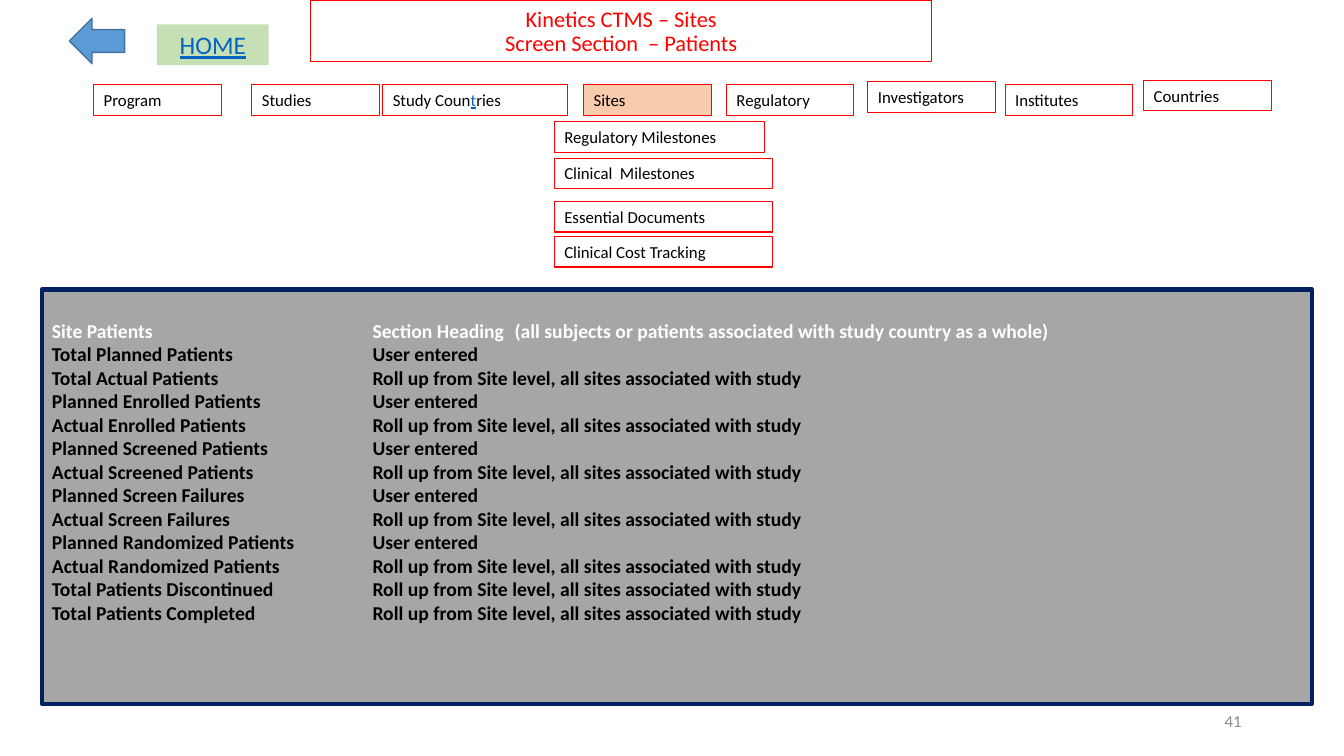
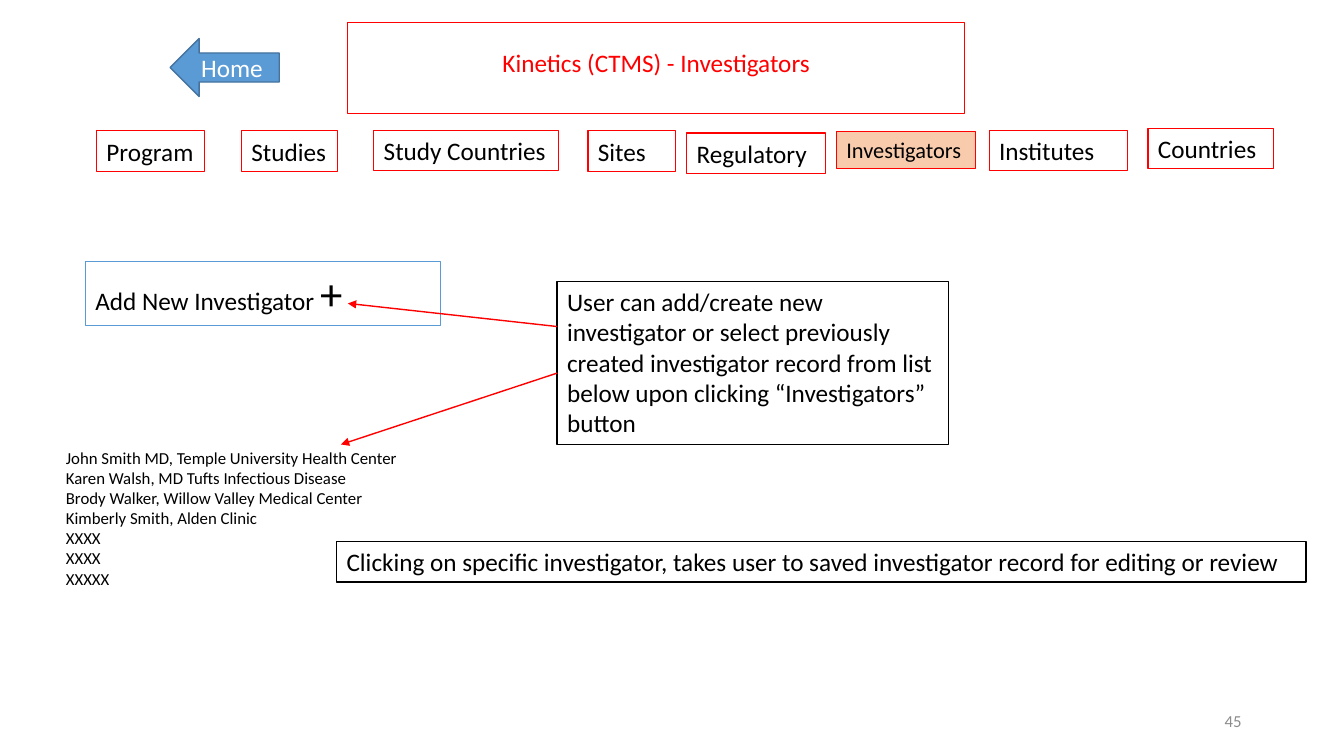
from dataclasses import dataclass
from typing import Optional

from pptx import Presentation
from pptx.dml.color import RGBColor
from pptx.enum.shapes import MSO_CONNECTOR, MSO_SHAPE
from pptx.enum.text import MSO_ANCHOR, MSO_AUTO_SIZE, PP_ALIGN
from pptx.oxml.ns import qn
from pptx.util import Pt
from lxml.etree import SubElement

FONT = "Calibri"
RED, BLACK, WHITE = "FF0000", "000000", "FFFFFF"
PEACH, GREEN, GREY, NAVY = "F8CBAD", "C5E0B4", "A6A6A6", "002060"
BLUE, DARK_BLUE, LINK_BLUE, NUMBER_GREY = "5B9BD5", "43739E", "0563C1", "8C8C8C"


@dataclass
class Frame:
    left: float
    top: float
    width: float
    height: float

    def lengths(self) -> tuple:
        return Pt(self.left), Pt(self.top), Pt(self.width), Pt(self.height)


@dataclass
class Style:
    size: float = 18
    color: str = BLACK
    bold: bool = False
    fill: Optional[str] = None
    line: Optional[str] = RED
    weight: float = 0.75
    align: PP_ALIGN = PP_ALIGN.LEFT
    anchor: MSO_ANCHOR = MSO_ANCHOR.TOP
    wrap: bool = True


@dataclass
class Button:
    label: str
    frame: Frame
    size: float = 12
    active: bool = False


def rgb(value: str) -> RGBColor:
    return RGBColor.from_string(value)


def format_span(span, style: Style) -> None:
    span.font.name = FONT
    span.font.size = Pt(style.size)
    span.font.bold = style.bold
    span.font.color.rgb = rgb(style.color)


def format_text(text_frame, style: Style) -> None:
    text_frame.word_wrap = style.wrap
    text_frame.auto_size = MSO_AUTO_SIZE.NONE
    text_frame.vertical_anchor = style.anchor
    for para in text_frame.paragraphs:
        para.alignment = style.align
        for span in para.runs:
            format_span(span, style)


def format_outline(box, style: Style) -> None:
    if style.fill:
        box.fill.solid()
        box.fill.fore_color.rgb = rgb(style.fill)
    else:
        box.fill.background()
    if style.line:
        box.line.color.rgb = rgb(style.line)
        box.line.width = Pt(style.weight)
    else:
        box.line.fill.background()


def add_box(page, frame: Frame, text: str, style: Style, preset=MSO_SHAPE.RECTANGLE):
    box = page.shapes.add_shape(preset, *frame.lengths())
    box.shadow.inherit = False
    format_outline(box, style)
    if text:
        box.text_frame.text = text
        format_text(box.text_frame, style)
    return box


def add_text(page, frame: Frame, text: str, style: Style) -> None:
    box = page.shapes.add_textbox(*frame.lengths())
    box.text_frame.text = text
    format_text(box.text_frame, style)


def add_spans(box, texts: list[str], style: Style) -> list:
    para = box.text_frame.paragraphs[0]
    for text in texts:
        para.add_run().text = text
    format_text(box.text_frame, style)
    return list(para.runs)


def add_buttons(page, buttons: list[Button]) -> None:
    for button in buttons:
        fill = PEACH if button.active else None
        add_box(page, button.frame, button.label, Style(button.size, fill=fill))


def add_arrow(page, start: tuple, end: tuple) -> None:
    points = [Pt(value) for value in (*start, *end)]
    arrow = page.shapes.add_connector(MSO_CONNECTOR.STRAIGHT, *points)
    arrow.line.color.rgb = rgb(RED)
    arrow.line.width = Pt(1)
    SubElement(arrow.line._get_or_add_ln(), qn("a:tailEnd"), type="triangle")
    SubElement(arrow._element.spPr, qn("a:effectLst"))


def add_page(deck, title: str, frame: Frame, size: float, bottom: float, number: int):
    """Start a page with its framed title and page number."""
    page = deck.slides.add_slide(deck.slide_layouts[5])
    box = page.shapes.title
    box.left, box.top, box.width, box.height = frame.lengths()
    style = Style(size, RED, align=PP_ALIGN.CENTER, anchor=MSO_ANCHOR.BOTTOM)
    format_outline(box, style)
    box.text_frame.text = title
    box.text_frame.margin_bottom = Pt(bottom)
    format_text(box.text_frame, style)
    for para in box.text_frame.paragraphs:
        para.line_spacing = 0.9
    add_text(page, Frame(678, 500.5, 216, 28.75), str(number),
             Style(12, NUMBER_GREY, align=PP_ALIGN.RIGHT, anchor=MSO_ANCHOR.MIDDLE))
    return page


def add_patient_panel(page) -> None:
    rolled = "Roll up from Site level, all sites associated with study"
    entered = "User entered"
    rows = [
        ("Site Patients", "Section Heading",
         "(all subjects or patients associated with study country as a whole)"),
        ("Total Planned Patients", entered),
        ("Total Actual Patients", rolled),
        ("Planned Enrolled Patients", entered),
        ("Actual Enrolled Patients", rolled),
        ("Planned Screened Patients", entered),
        ("Actual Screened Patients", rolled),
        ("Planned Screen Failures", entered),
        ("Actual Screen Failures", rolled),
        ("Planned Randomized Patients", entered),
        ("Actual Randomized Patients", rolled),
        ("Total Patients Discontinued", rolled),
        ("Total Patients Completed", rolled),
    ]
    text = "\n".join("\t".join(row) for row in rows)
    panel = add_box(page, Frame(30, 206.75, 907, 296), text,
                    Style(14, bold=True, fill=GREY, line=NAVY, weight=3))
    panel.text_frame.margin_top = Pt(20.75)
    for para in panel.text_frame.paragraphs:
        tabs = SubElement(para._p.get_or_add_pPr(), qn("a:tabLst"))
        for position in (229, 330.5):
            SubElement(tabs, qn("a:tab"), pos=str(Pt(position)), algn="l")
    for span in panel.text_frame.paragraphs[0].runs:
        span.font.color.rgb = rgb(WHITE)


def build_patients(deck) -> None:
    page = add_page(deck, "Kinetics CTMS – Sites\nScreen Section  – Patients",
                    Frame(222, 0, 443.5, 44), 16, 3.6, 41)

    # Back arrow and home button
    add_box(page, Frame(49.5, 13, 39.5, 32.5), "",
            Style(fill=BLUE, line=DARK_BLUE, weight=1), MSO_SHAPE.LEFT_ARROW)
    home = add_box(page, Frame(112, 17.5, 80, 29), "HOME",
                   Style(18, LINK_BLUE, fill=GREEN, line=None, align=PP_ALIGN.CENTER))
    home.text_frame.paragraphs[0].runs[0].font.underline = True

    # Navigation row
    height, row_top = 21.75, 60.5
    add_buttons(page, [
        Button("Program", Frame(67, row_top, 91, height)),
        Button("Studies", Frame(180, row_top, 91, height)),
        Button("Sites", Frame(417, row_top, 91, height), active=True),
        Button("Regulatory", Frame(519, row_top, 91, height)),
        Button("Investigators", Frame(620, 58.5, 91, height)),
        Button("Institutes", Frame(718, row_top, 91, height)),
        Button("Countries", Frame(817, 57.5, 91, height)),
    ])
    style = Style(12)
    countries = add_box(page, Frame(273.5, row_top, 132, height), "", style)
    linked = add_spans(countries, ["Study Coun", "t", "ries"], style)[1]
    linked.font.color.rgb = rgb(LINK_BLUE)
    linked.font.underline = True

    # Sections of the Sites screen
    add_buttons(page, [
        Button("Regulatory Milestones", Frame(396, 87, 150, height)),
        Button("Clinical  Milestones", Frame(396, 113, 156, height)),
        Button("Essential Documents", Frame(396, 144, 156, height)),
        Button("Clinical Cost Tracking", Frame(396, 169, 156, height)),
    ])
    add_patient_panel(page)


def build_investigators(deck) -> None:
    page = add_page(deck, "Kinetics (CTMS) - Investigators",
                    Frame(248.5, 16.25, 440.5, 65), 18, 25.5, 45)

    # Navigation row
    height = 29
    add_buttons(page, [
        Button("Program", Frame(69, 93.5, 77, height), 18),
        Button("Studies", Frame(172.5, 93.5, 68.5, height), 18),
        Button("Study Countries", Frame(267, 93, 132, height), 18),
        Button("Sites", Frame(420, 93.5, 62.5, height), 18),
        Button("Regulatory", Frame(490.5, 95, 99, height), 18),
        Button("Investigators", Frame(597.5, 94, 99, 26.5), 16, active=True),
        Button("Institutes", Frame(706.5, 93, 99, height), 18),
        Button("Countries", Frame(820, 91.5, 90, height), 18),
    ])
    add_box(page, Frame(121.5, 27.5, 78, 41.5), "Home",
            Style(18, WHITE, fill=BLUE, line=DARK_BLUE, weight=1,
                  align=PP_ALIGN.CENTER, anchor=MSO_ANCHOR.MIDDLE),
            MSO_SHAPE.LEFT_ARROW)

    # Investigator list
    investigators = [
        "John Smith MD, Temple University Health Center",
        "Karen Walsh, MD Tufts Infectious Disease",
        "Brody Walker, Willow Valley Medical Center",
        "Kimberly Smith, Alden Clinic",
        "XXXX", "XXXX", "XXXXX",
    ]
    add_text(page, Frame(40, 316, 293, 131), "\n".join(investigators), Style(12))

    # New investigator field
    style = Style(18, line=BLUE)
    field = add_box(page, Frame(61, 186.5, 253.5, 46), "", style)
    plus = add_spans(field, ["Add New Investigator ", "+"], style)[1]
    plus.font.size = Pt(32)

    # Explanations and their arrows
    add_box(page, Frame(240.5, 386.75, 692.5, height),
            "Clicking on specific investigator, takes user to saved investigator "
            "record for editing or review",
            Style(line=BLACK, weight=1, wrap=False))
    add_box(page, Frame(398, 201, 279.5, 116.5),
            "User can add/create new investigator or select previously created "
            "investigator record from list below upon clicking “Investigators” button",
            Style(line=BLACK, weight=1))
    add_arrow(page, (398, 233.25), (248.5, 216.75))
    add_arrow(page, (398, 266.5), (243.5, 317.5))


def main() -> None:
    deck = Presentation()
    deck.slide_width, deck.slide_height = Pt(960), Pt(540)
    build_patients(deck)
    build_investigators(deck)
    deck.save("out.pptx")


if __name__ == "__main__":
    main()
